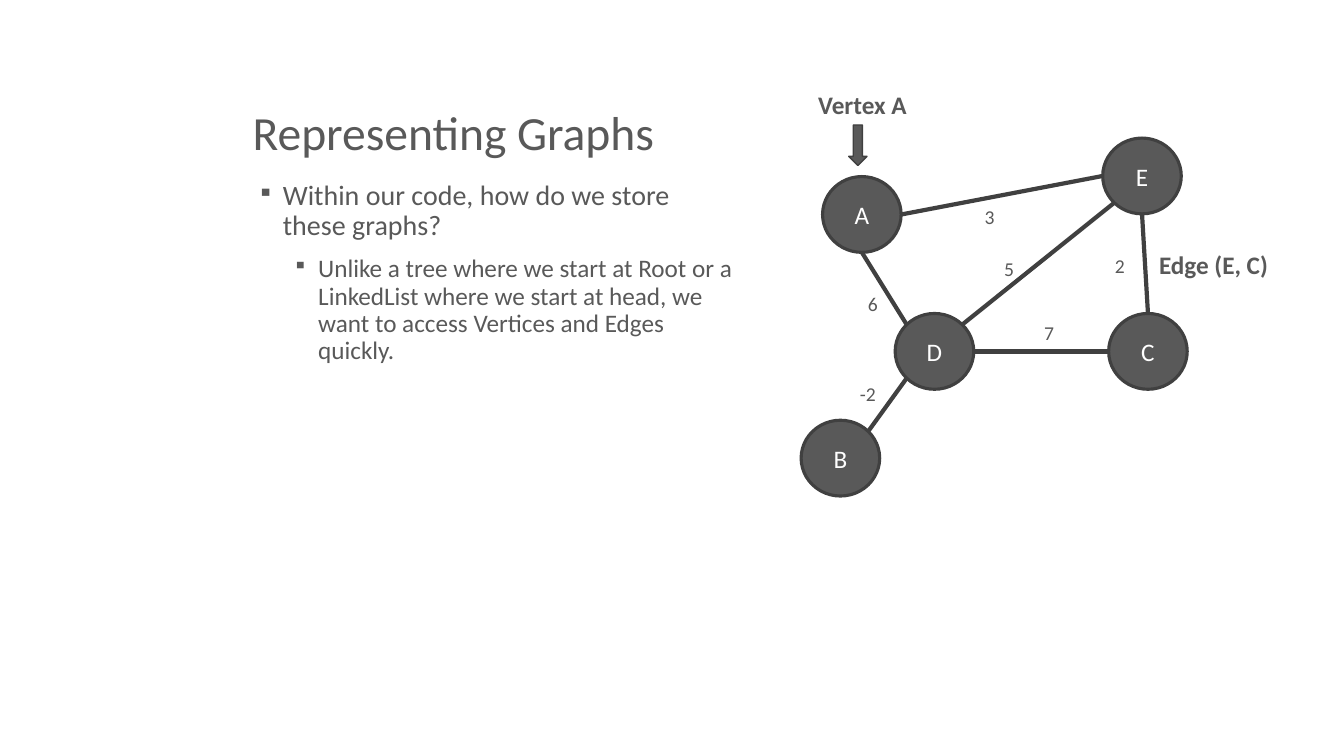
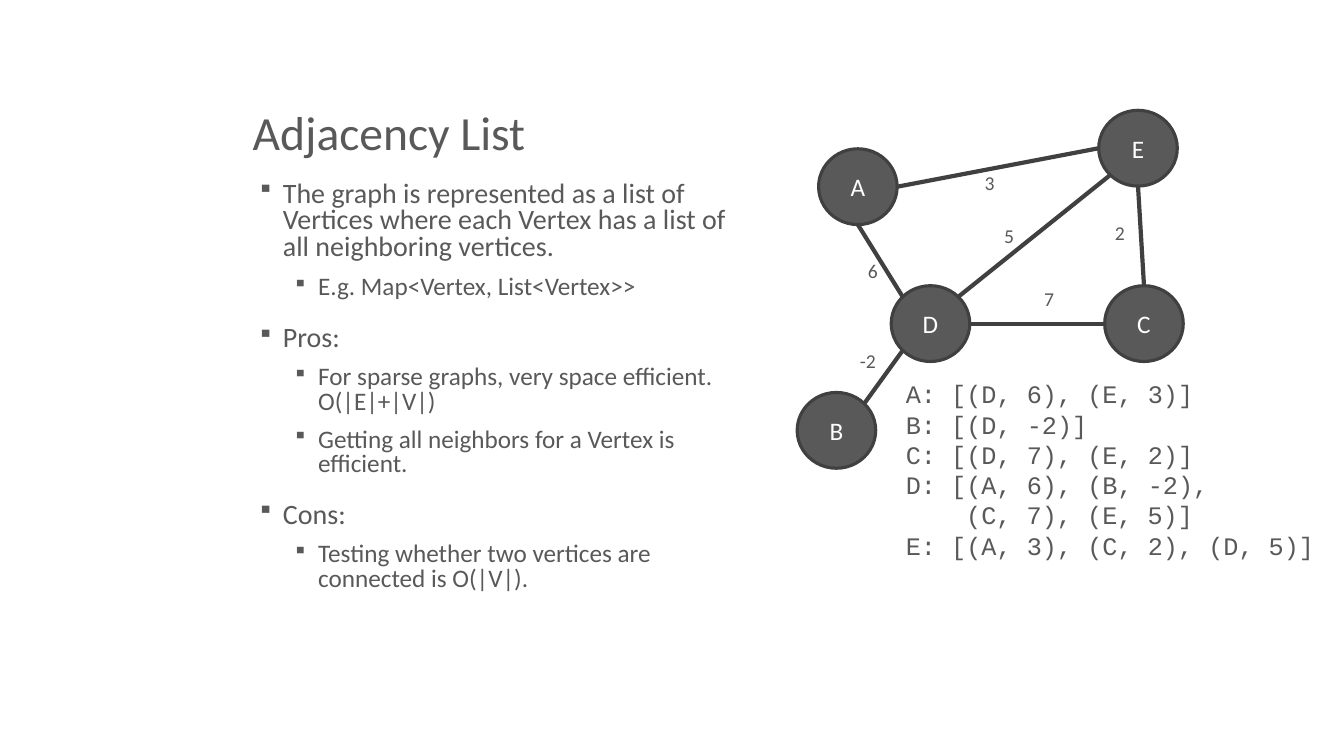
from math import cos, radians, sin

from lxml import etree
from pptx import Presentation
from pptx.dml.color import RGBColor
from pptx.enum import shapes, text
from pptx.oxml import ns
from pptx.util import Cm, Pt

GREY = RGBColor(0x59, 0x59, 0x59)
DARK = RGBColor(0x40, 0x40, 0x40)
WHITE = RGBColor(0xFF, 0xFF, 0xFF)
SANS, MONO = "Calibri", "Courier New"

NODES = {
    "A": (20.73, 4.45),
    "C": (27.94, 7.9),
    "B": (20.19, 10.59),
    "D": (22.56, 7.9),
    "E": (27.79, 3.48),
}
WIDE, HIGH = 1.98, 1.91
EDGES = [
    ("A", 4, "D", 1),
    ("B", 7, "D", 3),
    ("C", 2, "D", 6),
    ("C", 0, "E", 4),
    ("A", 6, "E", 2),
    ("D", 7, "E", 3),
]
COSTS = [
    ("3", 24.94, 5.46),
    ("6", 22, 7.67),
    ("5", 25.43, 6.78),
    ("7", 26.44, 8.38),
    ("-2", 21.87, 9.93),
    ("2", 28.22, 6.7),
]
CALLS = [
    ("Vertex A", (20.37, 2.13, 2.92, 1.02)),
    ("Edge (E, C)", (28.96, 6.15, 3.66, 1.02)),
]
ARROW = (21.39, 3.15, 0.46, 1.02)
LEVELS = [(20, 18, 0.76), (18, 10, 1.65)]

STORE = [
    (0, "Within our code, how do we store these graphs?"),
    (1, "Unlike a tree where we start at Root or a LinkedList where we start "
        "at head, we want to access Vertices and Edges quickly."),
]
LISTS = [
    (0, "The graph is represented as a list of Vertices where each Vertex "
        "has a list of all neighboring vertices."),
    (1, "E.g. Map<Vertex, List<Vertex>>"),
    (0, "Pros:"),
    (1, "For sparse graphs, very space efficient. O(|E|+|V|)"),
    (1, "Getting all neighbors for a Vertex is efficient."),
    (0, "Cons:"),
    (1, "Testing whether two vertices are connected is O(|V|)."),
]
CODE = [
    (1.02, "A: [(D, 6), (E, 3)]"),
    (1.02, "B: [(D, -2)]"),
    (1.02, "C: [(D, 7), (E, 2)]"),
    (1.02, "D: [(A, 6), (B, -2),"),
    (2.54, "(C, 7), (E, 5)]"),
    (1.02, "E: [(A, 3), (C, 2), (D, 5)]"),
]


def put(par, words, size, color=GREY, font=SANS, bold=False):
    run = par.add_run()
    run.text = words
    run.font.size = Pt(size)
    run.font.name = font
    run.font.bold = bold
    run.font.color.rgb = color


def box(slide, area, wrap=True):
    frame = slide.shapes.add_textbox(*map(Cm, area)).text_frame
    frame.word_wrap = wrap
    return frame


def lines(frame, items):
    for i, item in enumerate(items):
        yield frame.add_paragraph() if i else frame.paragraphs[0], *item


def indent(par, left, hang=0):
    props = par._p.get_or_add_pPr()
    props.set("marL", str(Cm(left)))
    props.set("indent", str(-Cm(hang)))
    return props


def bullets(slide, items, width, pitch):
    frame = box(slide, (6.12, 4.45, width, 11.43))
    for par, level, words in lines(frame, items):
        size, before, left = LEVELS[level]
        par.level = level
        par.line_spacing = pitch
        par.space_before = Pt(before)
        props = indent(par, left, 0.64)
        etree.SubElement(props, ns.qn("a:buSzPct")).set("val", "80000")
        etree.SubElement(props, ns.qn("a:buChar")).set("char", "▪")
        put(par, words, size)


def solid(slide, kind, area, weight):
    shape = slide.shapes.add_shape(kind, *map(Cm, area))
    shape.shadow.inherit = False
    shape.fill.solid()
    shape.fill.fore_color.rgb = GREY
    shape.line.color.rgb = DARK
    shape.line.width = Pt(weight)
    return shape


def graph(slide, dx, dy, rise):
    def site(name, turn):
        x, y = NODES[name]
        angle = radians(45 * turn)
        return (Cm(x + dx + WIDE / 2 * (1 - sin(angle))),
                Cm(y + dy + HIGH / 2 * (1 - cos(angle))))

    for name, (x, y) in NODES.items():
        area = (x + dx, y + dy, WIDE, HIGH)
        node = solid(slide, shapes.MSO_SHAPE.OVAL, area, 2.25)
        node.text_frame.vertical_anchor = text.MSO_ANCHOR.MIDDLE
        par = node.text_frame.paragraphs[0]
        par.alignment = text.PP_ALIGN.CENTER
        put(par, name, 18, WHITE)
    for start, out, end, into in EDGES:
        edge = slide.shapes.add_connector(
            shapes.MSO_CONNECTOR.STRAIGHT, *site(start, out), *site(end, into))
        edge.line.color.rgb = DARK
        edge.line.width = Pt(3)
        etree.SubElement(edge._element.spPr, ns.qn("a:effectLst"))
    for cost, x, y in COSTS:
        frame = box(slide, (x - 0.5, y + rise - 0.43, 1, 0.86))
        frame.margin_left = frame.margin_right = 0
        par = frame.paragraphs[0]
        par.alignment = text.PP_ALIGN.CENTER
        put(par, cost, 14)


def page(deck, title, items, width, pitch, shift):
    slide = deck.slides.add_slide(deck.slide_layouts[6])
    head = box(slide, (6.12, 0.84, 26.04, 3.33))
    head.vertical_anchor = text.MSO_ANCHOR.BOTTOM
    head.paragraphs[0].line_spacing = 0.9
    put(head.paragraphs[0], title, 34)
    bullets(slide, items, width, pitch)
    graph(slide, *shift)
    return slide


def main():
    deck = Presentation()
    deck.slide_width, deck.slide_height = Cm(33.87), Cm(19.05)

    slide = page(deck, "Representing Graphs", STORE, 12.6, 0.9, (0, 0, 0))
    for words, area in CALLS:
        put(box(slide, area, False).paragraphs[0], words, 18, bold=True)
    solid(slide, shapes.MSO_SHAPE.DOWN_ARROW, ARROW, 1)

    slide = page(deck, "Adjacency List", LISTS, 13.03, 0.8,
                 (-0.1, -0.7, -0.84))
    frame = box(slide, (21.56, 9.42, 12.3, 4.88))
    for par, left, words in lines(frame, CODE):
        indent(par, left)
        put(par, words, 18, font=MONO)

    deck.save("out.pptx")


if __name__ == "__main__":
    main()
